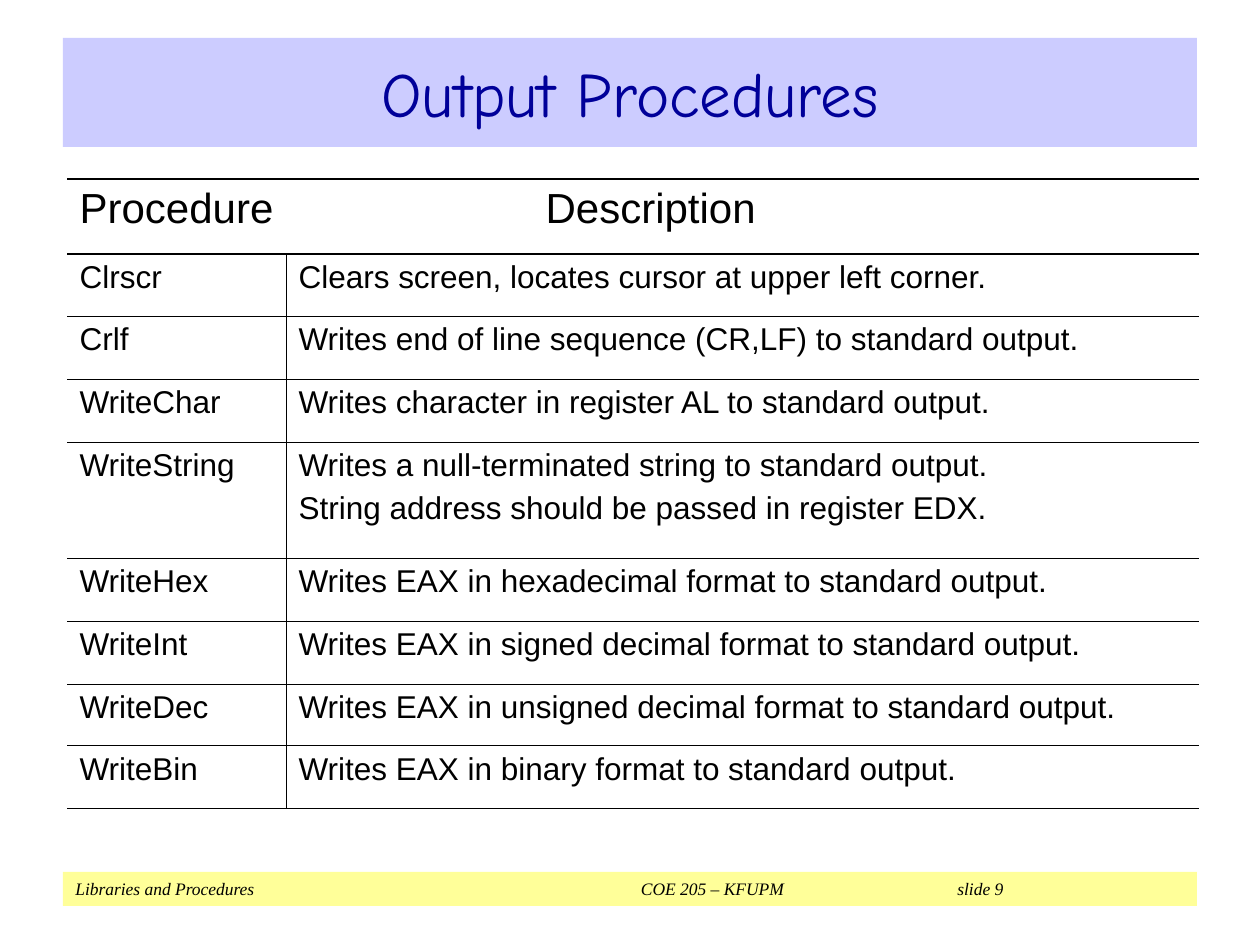
from collections import namedtuple
from dataclasses import dataclass

from lxml.etree import SubElement
from pptx import Presentation
from pptx.dml.color import RGBColor
from pptx.enum.shapes import MSO_SHAPE as Shape
from pptx.enum.text import MSO_ANCHOR as Anchor, PP_ALIGN as Align
from pptx.oxml.ns import qn
from pptx.util import Pt

PX = 914400 / 126
Box = namedtuple("Box", "left top width height")


@dataclass(frozen=True)
class Theme:
    title_fill: str = "CCCCFF"
    title_text: str = "000099"
    footer_fill: str = "FFFF99"
    text: str = "000000"
    title_font: str = "Comic Neue"
    body_font: str = "Arial"
    footer_font: str = "Times New Roman"
    title_size: int = 36
    header_size: int = 24
    body_size: int = 18
    footer_size: int = 10
    line_gap: float = 4.5
    thick_rule: float = 1.08
    thin_rule: float = 0.45


THEME = Theme()
COLUMN_WIDTHS = (219, 913)
ROW_HEIGHTS = (75, 62, 63, 63, 116, 63, 63, 62, 63)
DESCRIPTION_INDENT = 247
PROCEDURES = (
    ("Procedure", "Description"),
    ("Clrscr", "Clears screen, locates cursor at upper left corner."),
    ("Crlf", "Writes end of line sequence (CR,LF) to standard output."),
    ("WriteChar", "Writes character in register AL to standard output."),
    ("WriteString", "Writes a null-terminated string to standard output.\n"
                    "String address should be passed in register EDX."),
    ("WriteHex", "Writes EAX in hexadecimal format to standard output."),
    ("WriteInt", "Writes EAX in signed decimal format to standard output."),
    ("WriteDec", "Writes EAX in unsigned decimal format to standard output."),
    ("WriteBin", "Writes EAX in binary format to standard output."),
)


def px(length):
    return round(length * PX)


def style_runs(paragraph, font_name, size, color, italic=False):
    for run in paragraph.runs:
        run.font.name = font_name
        run.font.size = Pt(size)
        run.font.italic = italic
        run.font.color.rgb = RGBColor.from_string(color)


def add_band(slide, box, fill, text, anchor, align):
    shape = slide.shapes.add_shape(Shape.RECTANGLE, *map(px, box))
    shape.shadow.inherit = False
    shape.fill.solid()
    shape.fill.fore_color.rgb = RGBColor.from_string(fill)
    shape.line.fill.background()
    shape.text_frame.text = text
    shape.text_frame.word_wrap = True
    shape.text_frame.vertical_anchor = anchor
    paragraph = shape.text_frame.paragraphs[0]
    paragraph.alignment = align
    return paragraph


def add_title(slide, box):
    paragraph = add_band(slide, box, THEME.title_fill, "Output Procedures",
                         Anchor.MIDDLE, Align.CENTER)
    style_runs(paragraph, THEME.title_font, THEME.title_size, THEME.title_text)


def add_footer(slide, box):
    text = "Libraries and Procedures\tCOE 205 – KFUPM\tslide 9"
    paragraph = add_band(slide, box, THEME.footer_fill, text, Anchor.TOP, Align.LEFT)
    tabs = SubElement(paragraph._p.get_or_add_pPr(), qn("a:tabLst"))
    for position, kind in ((637, "ctr"), (928, "r")):
        SubElement(tabs, qn("a:tab"), pos=str(px(position)), algn=kind)
    style_runs(paragraph, THEME.footer_font, THEME.footer_size, THEME.text, True)


def set_borders(cell, widths):
    properties = cell._tc.get_or_add_tcPr()
    for side, width in zip("LRTB", widths):
        line = SubElement(properties, qn(f"a:ln{side}"), w=str(Pt(width)))
        if width:
            fill = SubElement(line, qn("a:solidFill"))
            SubElement(fill, qn("a:srgbClr"), val=THEME.text)
        else:
            SubElement(line, qn("a:noFill"))


def fill_cell(cell, text, row, column):
    is_header = row == 0
    divider = 0 if is_header else THEME.thin_rule
    left, right = (0, divider) if column == 0 else (divider, 0)
    top = THEME.thick_rule if row <= 1 else THEME.thin_rule
    bottom = THEME.thick_rule if is_header else THEME.thin_rule
    set_borders(cell, (left, right, top, bottom))
    cell.fill.background()
    cell.text_frame.text = text
    size = THEME.header_size if is_header else THEME.body_size
    for index, paragraph in enumerate(cell.text_frame.paragraphs):
        if index:
            paragraph.space_before = Pt(THEME.line_gap)
        if is_header and column == 1:
            paragraph._p.get_or_add_pPr().set("marL", str(px(DESCRIPTION_INDENT)))
        style_runs(paragraph, THEME.body_font, size, THEME.text)


def add_procedure_table(slide, box):
    frame = slide.shapes.add_table(len(PROCEDURES), len(COLUMN_WIDTHS), *map(px, box))
    table = frame.table
    table.first_row = False
    table.horz_banding = False
    for column, width in zip(table.columns, COLUMN_WIDTHS):
        column.width = px(width)
    for row, height in zip(table.rows, ROW_HEIGHTS):
        row.height = px(height)
    for row, texts in enumerate(PROCEDURES):
        for column, text in enumerate(texts):
            fill_cell(table.cell(row, column), text, row, column)


def main():
    presentation = Presentation()
    presentation.slide_width = px(1260)
    presentation.slide_height = px(945)
    slide = presentation.slides.add_slide(presentation.slide_layouts[6])
    add_footer(slide, Box(63, 872, 1134, 34))
    add_title(slide, Box(63, 38, 1134, 109))
    add_procedure_table(slide, Box(67, 179, sum(COLUMN_WIDTHS), sum(ROW_HEIGHTS)))
    presentation.save("out.pptx")


if __name__ == "__main__":
    main()
